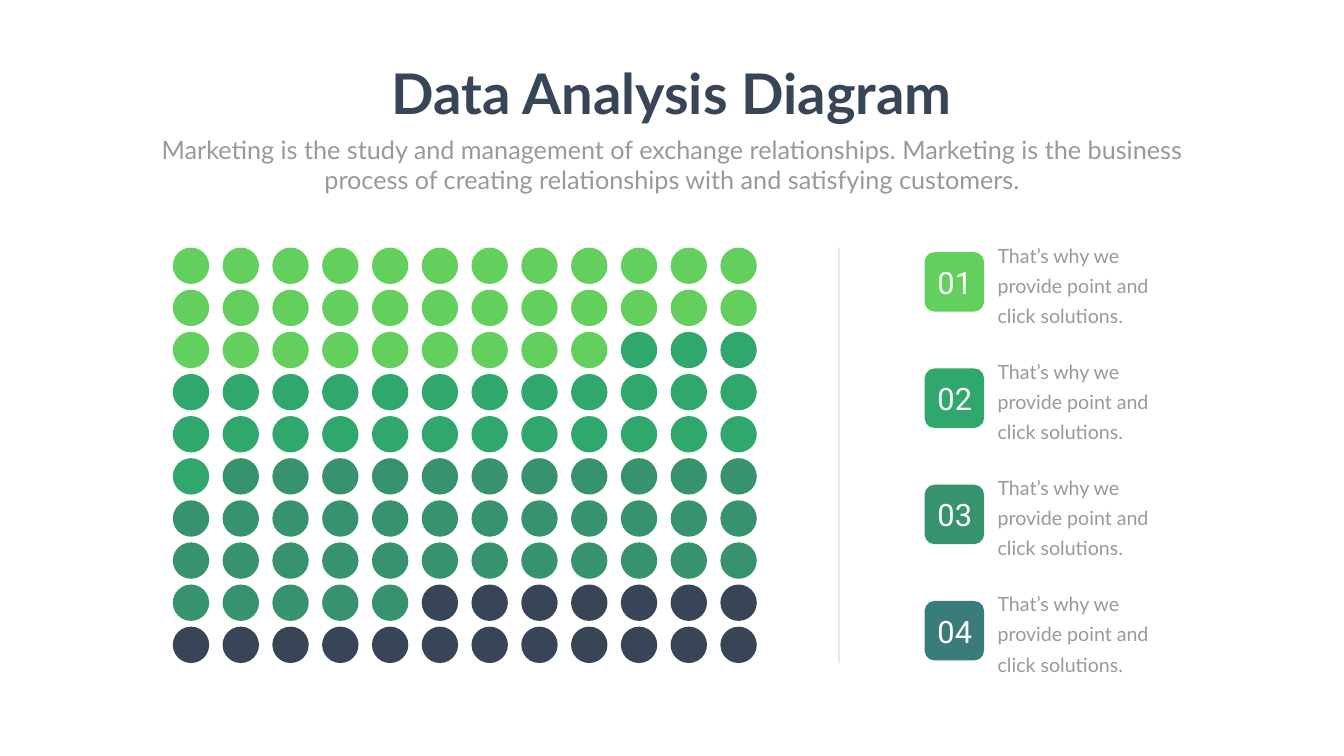
from dataclasses import dataclass

from lxml import etree
from pptx import Presentation
from pptx.dml.color import RGBColor
from pptx.enum.shapes import MSO_CONNECTOR, MSO_SHAPE
from pptx.enum.text import MSO_ANCHOR, MSO_AUTO_SIZE, PP_ALIGN
from pptx.oxml.ns import qn
from pptx.shapes.autoshape import Shape
from pptx.shapes.shapetree import GroupShapes
from pptx.slide import Slide
from pptx.util import Pt

ELLIPSE, ROUNDED = MSO_SHAPE.OVAL, MSO_SHAPE.ROUNDED_RECTANGLE
STRAIGHT = MSO_CONNECTOR.STRAIGHT
LEFT, CENTER = PP_ALIGN.LEFT, PP_ALIGN.CENTER


@dataclass(frozen=True)
class Theme:
    background: str = "FEFFFE"
    white: str = "FFFFFF"
    navy: str = "374556"
    gray: str = "999999"
    divider: str = "808080"
    lime: str = "63CF5C"
    emerald: str = "30A76D"
    pine: str = "36936E"
    teal: str = "3A7C79"
    text_font: str = "Lato"
    number_font: str = "Roboto"
    title_size: float = 80
    subtitle_size: float = 36
    number_size: float = 44
    note_size: float = 28
    note_leading: float = 43


@dataclass(frozen=True)
class Box:
    left: float
    top: float
    width: float
    height: float


@dataclass(frozen=True)
class Share:
    dots: int
    color: str


@dataclass(frozen=True)
class LegendEntry:
    number: str
    color: str
    note: str


THEME = Theme()
SLIDE_WIDTH, SLIDE_HEIGHT = 1919.52, 1080

COLUMNS = 12
DOT_SIZE = 52
DOTS_LEFT, DOTS_TOP = 246.8, 353.7
DOT_PITCH_X, DOT_PITCH_Y = 71.1, 60.17
SHARES = (
    Share(33, THEME.lime),
    Share(28, THEME.emerald),
    Share(40, THEME.pine),
    Share(19, THEME.navy),
)

DIVIDER_X, DIVIDER_BOTTOM = 1198, 946.8

LEGEND_TOP, LEGEND_PITCH = 360.2, 166.1
NOTE = "That’s why we provide point and click solutions."
LEGEND = (
    LegendEntry("01", THEME.lime, NOTE),
    LegendEntry("02", THEME.emerald, NOTE),
    LegendEntry("03", THEME.pine, NOTE),
    LegendEntry("04", THEME.teal, NOTE),
)


def write_text(holder: Shape, text: str, *, size: float, color: str,
               font: str = THEME.text_font, bold: bool = False,
               align: PP_ALIGN = CENTER, leading: float | None = None) -> None:
    frame = holder.text_frame
    frame.word_wrap = True
    frame.auto_size = MSO_AUTO_SIZE.NONE
    frame.vertical_anchor = MSO_ANCHOR.TOP
    frame.text = text
    paragraph = frame.paragraphs[0]
    paragraph.alignment = align
    paragraph.space_before = Pt(0)
    paragraph.line_spacing = Pt(leading) if leading else 1.0
    paragraph.font.name = font
    paragraph.font.size = Pt(size)
    paragraph.font.bold = bold
    paragraph.font.color.rgb = RGBColor.from_string(color)


def place(holder: Shape, box: Box) -> None:
    holder.left, holder.top = Pt(box.left), Pt(box.top)
    holder.width, holder.height = Pt(box.width), Pt(box.height)


def add_filled(shapes: GroupShapes, kind: MSO_SHAPE, box: Box, color: str) -> None:
    shape = shapes.add_shape(kind, Pt(box.left), Pt(box.top), Pt(box.width), Pt(box.height))
    shape.shadow.inherit = False
    shape.fill.solid()
    shape.fill.fore_color.rgb = RGBColor.from_string(color)
    shape.line.fill.background()


def add_label(shapes: GroupShapes, box: Box) -> Shape:
    return shapes.add_textbox(Pt(box.left), Pt(box.top), Pt(box.width), Pt(box.height))


def add_heading(slide: Slide) -> None:
    title, subtitle = slide.shapes.title, slide.placeholders[1]
    place(title, Box(542.2, 80.6, 834.5, 104.4))
    write_text(title, "Data Analysis Diagram", size=THEME.title_size,
               color=THEME.navy, bold=True)
    place(subtitle, Box(210.2, 187.9, 1499, 94.3))
    write_text(subtitle,
               "Marketing is the study and management of exchange relationships. "
               "Marketing is the business process of creating relationships with "
               "and satisfying customers.",
               size=THEME.subtitle_size, color=THEME.gray)


def add_dot_grid(slide: Slide) -> None:
    """Fill the grid row by row, each share taking its number of dots."""
    dots = slide.shapes.add_group_shape().shapes
    colors = [share.color for share in SHARES for _ in range(share.dots)]
    for index, color in enumerate(colors):
        row, column = divmod(index, COLUMNS)
        box = Box(DOTS_LEFT + column * DOT_PITCH_X, DOTS_TOP + row * DOT_PITCH_Y,
                  DOT_SIZE, DOT_SIZE)
        add_filled(dots, ELLIPSE, box, color)


def add_divider(slide: Slide) -> None:
    divider = slide.shapes.add_connector(STRAIGHT, Pt(DIVIDER_X), Pt(DOTS_TOP),
                                         Pt(DIVIDER_X), Pt(DIVIDER_BOTTOM))
    divider.line.width = Pt(2)
    divider.line.color.rgb = RGBColor.from_string(THEME.divider)
    properties = divider.element.spPr
    color = properties.find(f".//{qn('a:srgbClr')}")
    etree.SubElement(color, qn("a:alpha"), val="20000")
    etree.SubElement(properties, qn("a:effectLst"))


def add_legend_entry(slide: Slide, entry: LegendEntry, top: float) -> None:
    parts = slide.shapes.add_group_shape().shapes
    add_filled(parts, ROUNDED, Box(1320.5, top, 85, 85), entry.color)
    number = add_label(parts, Box(1315.4, top + 12.7, 96.5, 60.5))
    write_text(number, entry.number, size=THEME.number_size, color=THEME.white,
               font=THEME.number_font)
    note = add_label(parts, Box(1417.7, top - 25.3, 255.6, 132.5))
    write_text(note, entry.note, size=THEME.note_size, color=THEME.gray,
               align=LEFT, leading=THEME.note_leading)


def main() -> None:
    presentation = Presentation()
    presentation.slide_width = Pt(SLIDE_WIDTH)
    presentation.slide_height = Pt(SLIDE_HEIGHT)
    slide = presentation.slides.add_slide(presentation.slide_layouts[0])
    slide.background.fill.solid()
    slide.background.fill.fore_color.rgb = RGBColor.from_string(THEME.background)

    add_heading(slide)
    add_dot_grid(slide)
    add_divider(slide)
    for index, entry in enumerate(LEGEND):
        add_legend_entry(slide, entry, LEGEND_TOP + index * LEGEND_PITCH)
    presentation.save("out.pptx")


if __name__ == "__main__":
    main()
